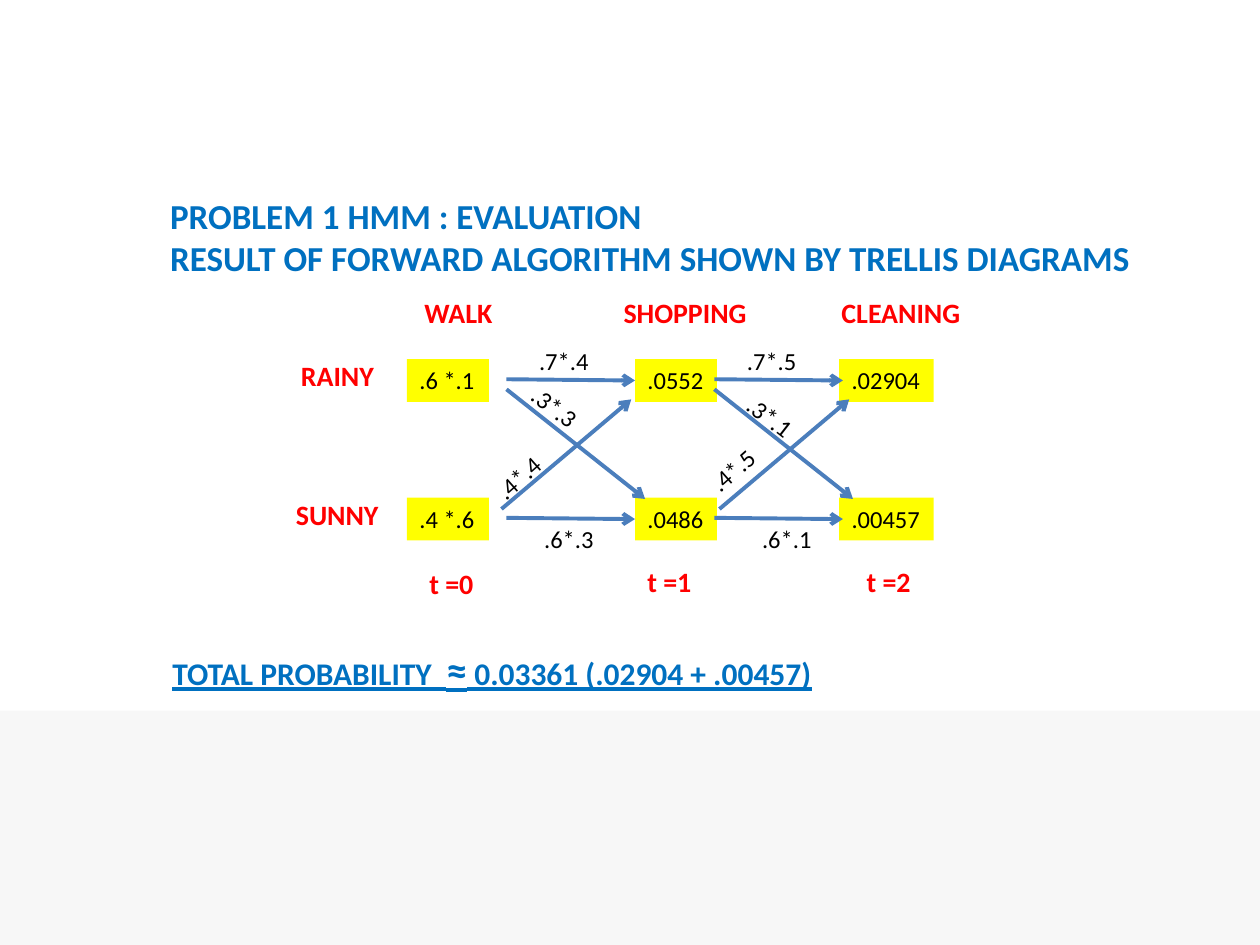
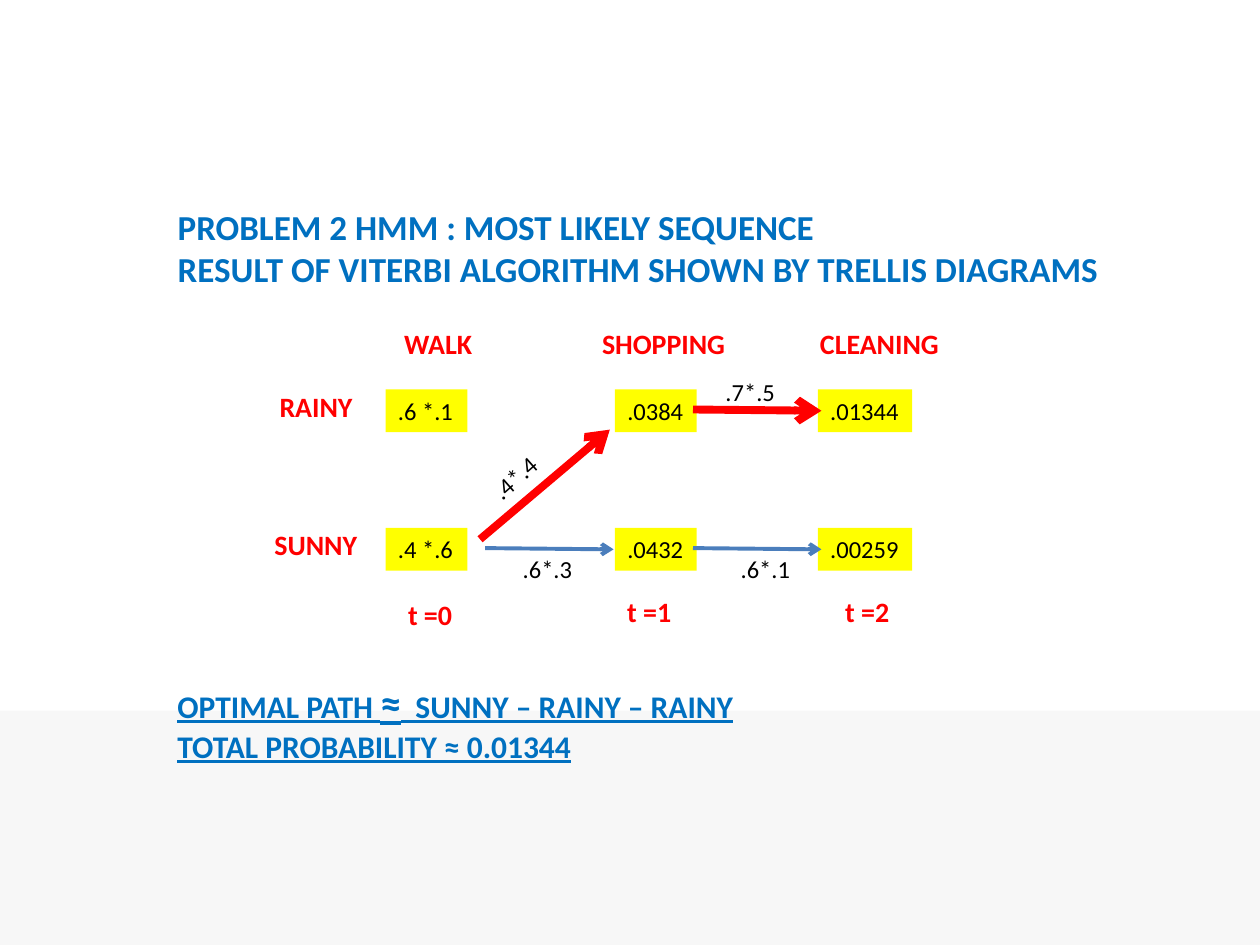
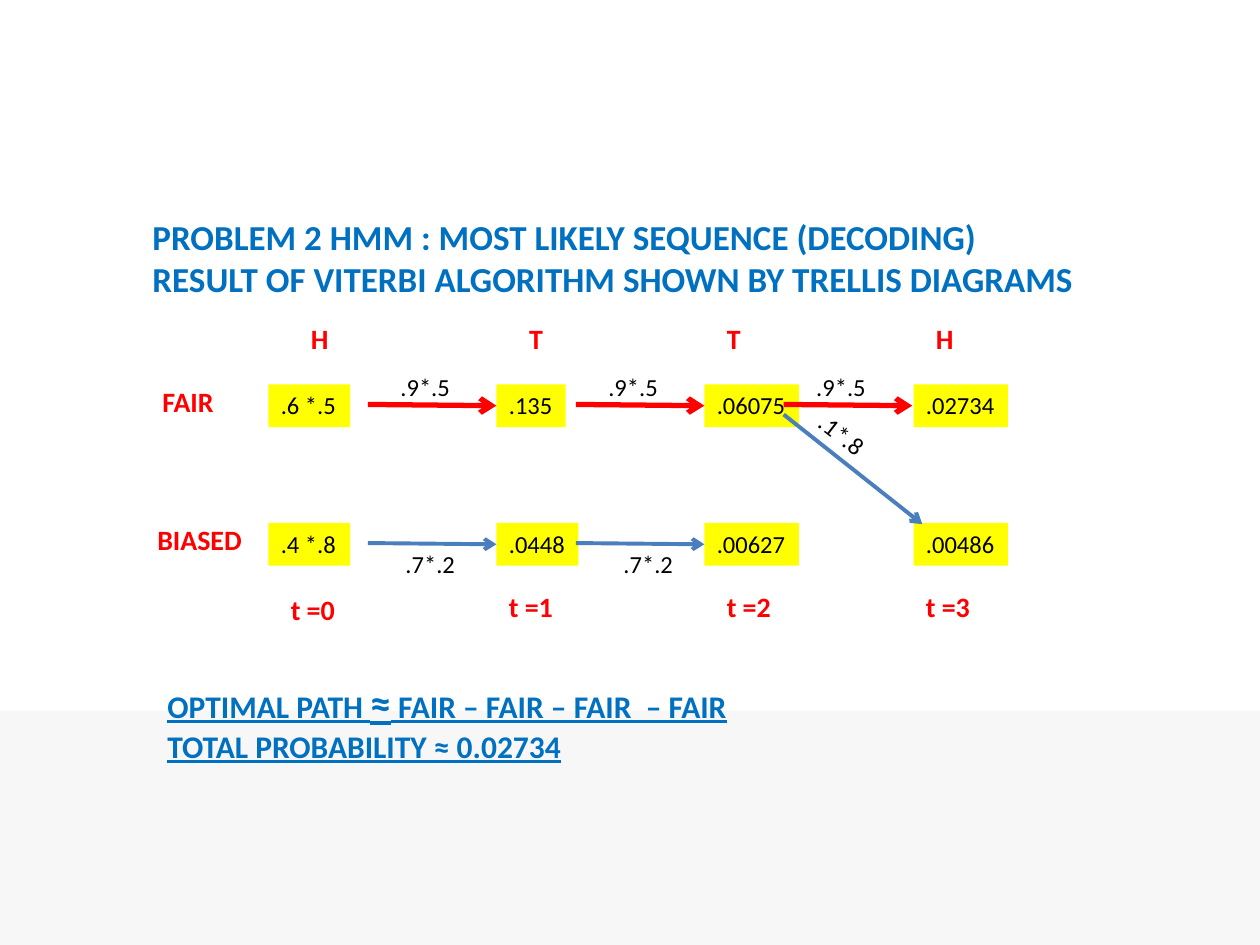
import pptx
import pptx.dml.color
import pptx.enum.shapes
import pptx.enum.text
import pptx.oxml
import pptx.util

PX = 9144  # EMU; 100 px make an inch
BLUE, RED, BLACK, YELLOW = "0070C0", "FF0000", "000000", "FFFF00"
ARROW_BLUE, BAND_GREY = "4B7EBC", "F7F7F7"

TITLE = {"size": 20, "bold": True, "color": BLUE}
SUMMARY = {"size": 18, "bold": True, "underline": True, "color": BLUE}
HEADING = {"size": 16, "bold": True, "color": RED}
FIGURE = {"size": 14, "color": BLACK}

# Places inside a trellis are measured from the top left cell.
ROW_STEP, STAGE_STEP = 110, 165
CELL_HEIGHT, HEADING_HEIGHT = 34, 37
HEADING_TOP, TIME_TOPS = -55, (160, 158)
STATE_OFFSETS = ((-94, -5), (-98, 105))

# Each arrow: start, reach, step to the next stage, then its label's
# place (None when each arrow gives its own), step, width and rotation.
ARROWS = {
    "top": {"start": (79, 16), "reach": (102, 1), "step": STAGE_STEP,
            "label": (95, -15), "label_step": STAGE_STEP, "width": 60, "turn": 0},
    "bottom": {"start": (79, 126), "reach": (102, 1), "step": STAGE_STEP,
               "label": (99, 126), "label_step": 173, "width": 60, "turn": 0},
    "down": {"start": (79, 24), "reach": (110, 87), "step": STAGE_STEP,
             "label": None, "label_step": 0, "width": 75, "turn": 37.8},
    "up": {"start": (75, 119), "reach": (103, -87), "step": 173,
           "label": None, "label_step": 0, "width": 60, "turn": 318.4},
}

SLIDES = [
    {
        "title": ["PROBLEM 1 HMM : EVALUATION",
                  "RESULT OF FORWARD ALGORITHM SHOWN BY TRELLIS DIAGRAMS"],
        "title_box": (125, 149, 843, 111),
        "summary": [[("TOTAL PROBABILITY  ", 18), ("≈", 24),
                     (" 0.03361 (.02904 + .00457)", 18)]],
        "summary_box": (127, 506, 547, 50),
        "origin": (323, 285),
        "columns": (0, 181, 343),
        "cells": [(".6 *.1", ".0552", ".02904"), (".4 *.6", ".0486", ".00457")],
        "states": [("RAINY", 79), ("SUNNY", 87)],
        "observations": [("WALK", 4, 75), ("SHOPPING", 162, 119), ("CLEANING", 335, 116)],
        "time_lefts": (8, 181, 355),
        "best_width": 2.25,
        # direction, stage, label, on the best path, own label place
        "arrows": [
            ("top", 0, ".7*.4", False, None), ("top", 1, ".7*.5", False, None),
            ("down", 0, ".3*.3", False, (86, 26)), ("down", 1, ".3*.1", False, (257, 34)),
            ("up", 0, ".4*.4", False, (59, 77)), ("up", 1, ".4*.5", False, (229, 71)),
            ("bottom", 0, ".6*.3", False, None), ("bottom", 1, ".6*.1", False, None),
        ],
    },
    {
        "title": ["PROBLEM 2 HMM : MOST LIKELY SEQUENCE",
                  "RESULT OF VITERBI ALGORITHM SHOWN BY TRELLIS DIAGRAMS"],
        "title_box": (131, 158, 843, 111),
        "summary": [[("OPTIMAL PATH ", 18), ("≈", 24), ("  SUNNY – RAINY – RAINY", 18)],
                    [("TOTAL PROBABILITY ≈ 0.01344", 18)]],
        "summary_box": (131, 532, 468, 81),
        "origin": (306, 309),
        "columns": (0, 182, 343),
        "cells": [(".6 *.1", ".0384", ".01344"), (".4 *.6", ".0432", ".00259")],
        "states": [("RAINY", 79), ("SUNNY", 87)],
        "observations": [("WALK", 5, 75), ("SHOPPING", 162, 119), ("CLEANING", 335, 116)],
        "time_lefts": (8, 182, 355),
        "best_width": 4.5,
        "arrows": [
            ("up", 0, ".4*.4", True, (73, 53)), ("top", 1, ".7*.5", True, None),
            ("bottom", 0, ".6*.3", False, None), ("bottom", 1, ".6*.1", False, None),
        ],
    },
    {
        "title": ["PROBLEM 2 HMM : MOST LIKELY SEQUENCE (DECODING)",
                  "RESULT OF VITERBI ALGORITHM SHOWN BY TRELLIS DIAGRAMS"],
        "title_box": (111, 166, 892, 111),
        "summary": [[("OPTIMAL PATH ", 18), ("≈", 24), (" FAIR – FAIR – FAIR  – FAIR", 18)],
                    [("TOTAL PROBABILITY ≈ 0.02734", 18)]],
        "summary_box": (123, 532, 477, 81),
        "origin": (213, 305),
        "columns": (0, 181, 346, 512),
        "cells": [(".6 *.5", ".135", ".06075", ".02734"),
                  (".4 *.8", ".0448", ".00627", ".00486")],
        "states": [("FAIR", 62), ("BIASED", 88)],
        "observations": [("H", 24, 34), ("T", 197, 31), ("T", 354, 31), ("H", 520, 34)],
        "time_lefts": (8, 181, 354, 512),
        "best_width": 3,
        "arrows": [
            ("top", 0, ".9*.5", True, None), ("top", 1, ".9*.5", True, None),
            ("top", 2, ".9*.5", True, None), ("down", 2, ".1*.8", False, (424, 28)),
            ("bottom", 0, ".7*.2", False, None), ("bottom", 1, ".7*.2", False, None),
        ],
    },
]


def rgb(color):
    return pptx.dml.color.RGBColor.from_string(color)


def emu(lengths):
    return [length * PX for length in lengths]


def write(frame, lines, style):
    """Fill a frame with lines, each a list of (text, size) runs."""
    for number, line in enumerate(lines):
        paragraph = frame.add_paragraph() if number else frame.paragraphs[0]
        paragraph.alignment = pptx.enum.text.PP_ALIGN.LEFT
        for text, size in line:
            run = paragraph.add_run()
            run.text = text
            run.font.color.rgb = rgb(style["color"])
            settings = {"name": "Calibri", "size": pptx.util.Pt(size),
                        "bold": style.get("bold"), "underline": style.get("underline")}
            for name, value in settings.items():
                setattr(run.font, name, value)


def add_text(slide, box, lines, style, wrap=False):
    text_box = slide.shapes.add_textbox(*emu(box))
    text_box.text_frame.word_wrap = wrap
    text_box.text_frame.auto_size = pptx.enum.text.MSO_AUTO_SIZE.SHAPE_TO_FIT_TEXT
    write(text_box.text_frame, lines, style)
    return text_box


def add_label(slide, box, text, style, wrap=False):
    return add_text(slide, box, [[(text, style["size"])]], style, wrap)


def add_arrow(slide, start, end, color, width):
    arrow = slide.shapes.add_connector(
        pptx.enum.shapes.MSO_CONNECTOR.STRAIGHT, *emu(start + end))
    arrow.line.color.rgb = rgb(color)
    arrow.line.width = pptx.util.Pt(width)
    line = arrow.line._get_or_add_ln()
    line.append(pptx.oxml.parse_xml(
        '<a:tailEnd xmlns:a="http://schemas.openxmlformats.org/drawingml/2006/main"'
        ' type="arrow"/>'))
    line.addnext(pptx.oxml.parse_xml(
        '<a:effectLst xmlns:a="http://schemas.openxmlformats.org/drawingml/2006/main"/>'))


def add_title(slide, lines, box):
    title = slide.shapes.title
    for side, value in zip(("left", "top", "width", "height"), emu(box)):
        setattr(title, side, value)
    settings = {"word_wrap": True, "auto_size": pptx.enum.text.MSO_AUTO_SIZE.NONE,
                "vertical_anchor": pptx.enum.text.MSO_ANCHOR.TOP}
    for name, value in settings.items():
        setattr(title.text_frame, name, value)
    write(title.text_frame, [[(line, TITLE["size"])] for line in lines], TITLE)


def add_trellis(slide, content):
    left, top = content["origin"]

    for row, values in enumerate(content["cells"]):
        for column, value in zip(content["columns"], values):
            width = 15 + 10 * len(value.replace(" ", ""))
            box = (left + column, top + row * ROW_STEP, width, CELL_HEIGHT)
            cell = add_label(slide, box, value, FIGURE)
            cell.fill.solid()
            cell.fill.fore_color.rgb = rgb(YELLOW)

    for (state, width), (dx, dy) in zip(content["states"], STATE_OFFSETS):
        add_label(slide, (left + dx, top + dy, width, HEADING_HEIGHT), state, HEADING)
    for observation, dx, width in content["observations"]:
        box = (left + dx, top + HEADING_TOP, width, HEADING_HEIGHT)
        add_label(slide, box, observation, HEADING)
    for time, dx in enumerate(content["time_lefts"]):
        box = (left + dx, top + TIME_TOPS[min(time, 1)], 56, HEADING_HEIGHT)
        add_label(slide, box, f"t ={time}", HEADING)

    for direction, stage, text, best, own_place in content["arrows"]:
        rule = ARROWS[direction]
        x = left + rule["start"][0] + stage * rule["step"]
        y = top + rule["start"][1]
        end = (x + rule["reach"][0], y + rule["reach"][1])
        color, width = (RED, content["best_width"]) if best else (ARROW_BLUE, 2.25)
        add_arrow(slide, (x, y), end, color, width)

        dx, dy = own_place or rule["label"]
        box = (left + dx + stage * rule["label_step"], top + dy, rule["width"], CELL_HEIGHT)
        label = add_label(slide, box, text, FIGURE, wrap=direction == "down")
        label.rotation = rule["turn"]


def move_band_to_layout(slide, layout):
    """Draw the grey band once, behind everything on the shared layout."""
    band = slide.shapes.add_shape(
        pptx.enum.shapes.MSO_SHAPE.RECTANGLE, *emu((0, 564, 1000, 186)))
    band.shadow.inherit = False
    band.fill.solid()
    band.fill.fore_color.rgb = rgb(BAND_GREY)
    band.line.fill.background()
    layout.shapes.element.insert(2, band.element)


def main():
    deck = pptx.Presentation()
    deck.slide_width, deck.slide_height = emu((1000, 750))
    layout = deck.slide_layouts.get_by_name("Title Only")
    for content in SLIDES:
        slide = deck.slides.add_slide(layout)
        add_title(slide, content["title"], content["title_box"])
        add_text(slide, content["summary_box"], content["summary"], SUMMARY)
        add_trellis(slide, content)
    move_band_to_layout(deck.slides[0], layout)
    deck.save("out.pptx")


if __name__ == "__main__":
    main()
